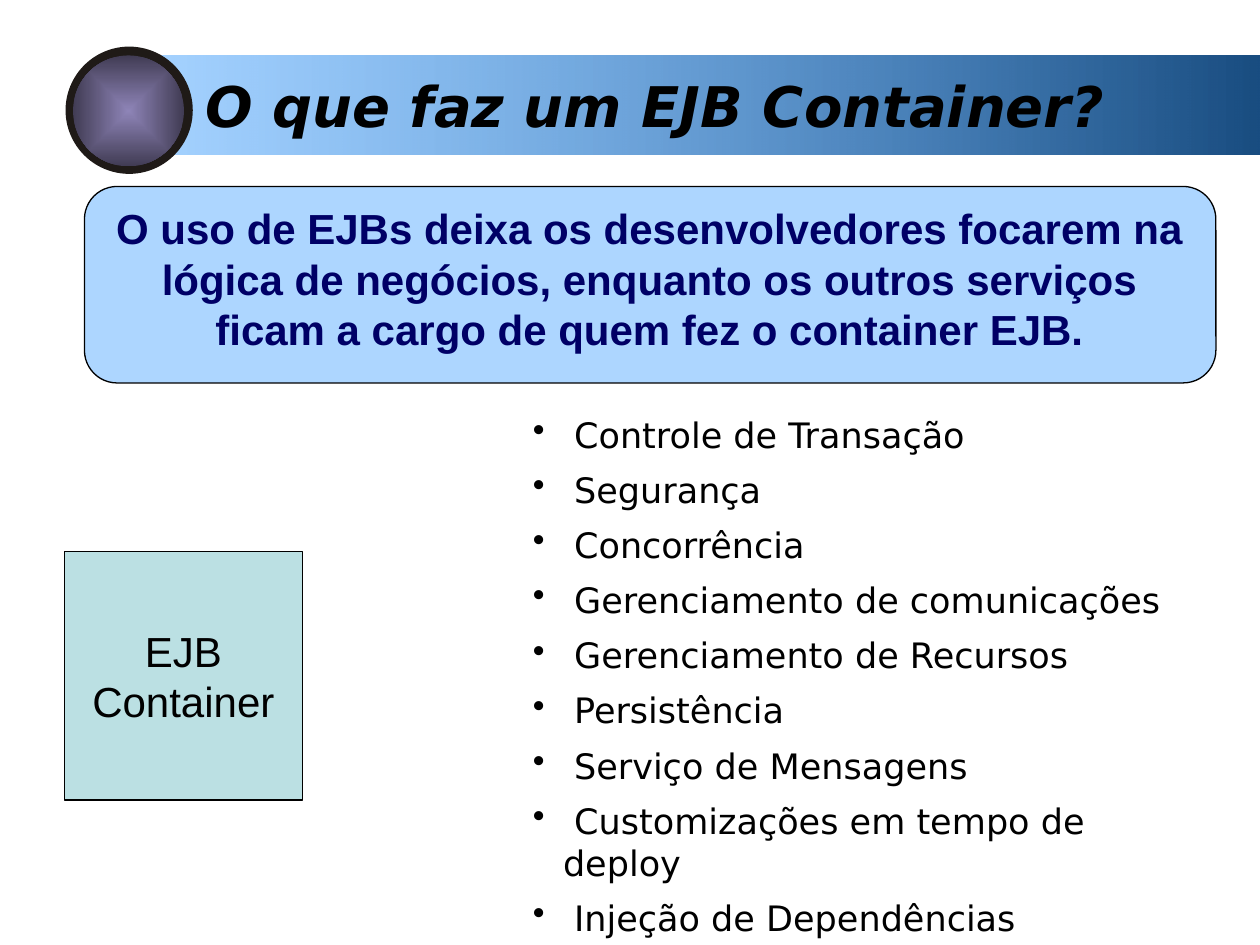
from pptx import Presentation
from pptx.dml.color import RGBColor
from pptx.enum.shapes import MSO_SHAPE
from pptx.enum.text import MSO_ANCHOR, MSO_AUTO_SIZE, PP_ALIGN
from pptx.oxml import parse_xml
from pptx.oxml.ns import nsdecls, qn
from pptx.util import Inches, Pt
from lxml import etree

RECT = MSO_SHAPE.RECTANGLE
ROUNDED = MSO_SHAPE.ROUNDED_RECTANGLE
OVAL = MSO_SHAPE.OVAL
MIDDLE = MSO_ANCHOR.MIDDLE
GROW = MSO_AUTO_SIZE.SHAPE_TO_FIT_TEXT
LEFT, CENTER = PP_ALIGN.LEFT, PP_ALIGN.CENTER

COLORS = {
    "black": "000000",
    "navy": "000066",
    "bar_dark": "194D81",
    "sky": "3399FF",
    "ring": "1F1A17",
    "violet": "8E84B7",
    "violet_dark": "413C54",
    "teal": "BBE0E3",
}
LINEAR = '<a:lin ang="10800000" scaled="0"/>'
FROM_CENTER = ('<a:path path="rect"><a:fillToRect l="50000" t="50000" '
               'r="50000" b="50000"/></a:path>')

SERVICES = [
    "Controle de Transação",
    "Segurança",
    "Concorrência",
    "Gerenciamento de comunicações",
    "Gerenciamento de Recursos",
    "Persistência",
    "Serviço de Mensagens",
    "Customizações em tempo de deploy",
    "Injeção de Dependências",
]


class SlideBuilder:
    title_font = "DejaVu Sans"
    body_font = "Arial"

    def __init__(self, slide):
        self.s = slide

    def rgb(self, name):
        return RGBColor.from_string(COLORS[name])

    def shape(self, kind, box, fill=None, alpha=100, line=None):
        sp = self.s.shapes.add_shape(kind, *map(Inches, box))
        sp.shadow.inherit = False
        if fill:
            sp.fill.solid()
            sp.fill.fore_color.rgb = self.rgb(fill)
            if alpha < 100:
                clr = sp._element.spPr.find(".//" + qn("a:srgbClr"))
                etree.SubElement(clr, qn("a:alpha"), val=str(alpha * 1000))
        if line:
            sp.line.color.rgb = self.rgb(line)
            sp.line.width = Pt(0.75)
        else:
            sp.line.fill.background()
        return sp

    def gradient(self, kind, box, start, end, direction, end_alpha=100):
        sp = self.shape(kind, box)
        geom = sp._element.spPr.find(qn("a:prstGeom"))
        geom.addnext(parse_xml(
            f'<a:gradFill {nsdecls("a")} rotWithShape="1"><a:gsLst>'
            f'<a:gs pos="0"><a:srgbClr val="{COLORS[start]}"/></a:gs>'
            f'<a:gs pos="100000"><a:srgbClr val="{COLORS[end]}">'
            f'<a:alpha val="{end_alpha * 1000}"/></a:srgbClr></a:gs>'
            f'</a:gsLst>{direction}</a:gradFill>'))
        return sp

    def style(self, p, font, size, color="black", align=LEFT, bold=False, italic=False):
        p.alignment = align
        p.font.name = font
        p.font.size = Pt(size)
        p.font.color.rgb = self.rgb(color)
        p.font.bold = bold
        p.font.italic = italic

    def text_frame(self, box):
        tf = self.s.shapes.add_textbox(*map(Inches, box)).text_frame
        tf.word_wrap = True
        tf.auto_size = GROW
        return tf

    def text(self, box, text, font, size, **style):
        p = self.text_frame(box).paragraphs[0]
        p.text = text
        self.style(p, font, size, **style)

    def label(self, sp, text, size):
        tf = sp.text_frame
        tf.word_wrap = False
        tf.vertical_anchor = MIDDLE
        p = tf.paragraphs[0]
        p.text = text
        self.style(p, self.body_font, size, align=CENTER)

    def bullets(self, box, items, size):
        tf = self.text_frame(box)
        for i, item in enumerate(items):
            p = tf.add_paragraph() if i else tf.paragraphs[0]
            p.text = " " + item
            self.style(p, self.title_font, size)
            p.space_before = Pt(7.5)
            pPr = p._p.get_or_add_pPr()
            pPr.set("marL", str(Inches(0.24)))
            pPr.set("indent", str(-Inches(0.24)))
            bullet = parse_xml(f'<a:buChar {nsdecls("a")} char="•"/>')
            pPr.find(qn("a:defRPr")).addprevious(bullet)


def main():
    prs = Presentation()
    prs.slide_width, prs.slide_height = Inches(10), Inches(7.5)
    s = SlideBuilder(prs.slides.add_slide(prs.slide_layouts[6]))

    s.gradient(RECT, (1.22, 0.44, 8.78, 0.79), "bar_dark", "sky", LINEAR, end_alpha=44)
    s.text((1.53, 0.52, 8.47, 0.64), "O que faz um EJB Container?",
           s.title_font, 32, bold=True, italic=True)
    s.shape(OVAL, (0.52, 0.37, 1.01, 1.01), "ring")
    s.gradient(OVAL, (0.58, 0.44, 0.88, 0.88), "violet", "violet_dark", FROM_CENTER)

    s.shape(ROUNDED, (0.67, 1.48, 8.98, 1.56), "sky", alpha=40, line="black")
    s.text((0.76, 1.56, 8.79, 1.3),
           "O uso de EJBs deixa os desenvolvedores focarem na lógica de negócios, "
           "enquanto os outros serviços ficam a cargo de quem fez o container EJB.",
           s.body_font, 24, color="navy", align=CENTER, bold=True)

    s.bullets((4.13, 3.23, 5.59, 3.94), SERVICES, 20)
    container = s.shape(RECT, (0.51, 4.38, 1.89, 1.97), "teal", line="black")
    s.label(container, "EJB\vContainer", 24)

    prs.save("out.pptx")


if __name__ == "__main__":
    main()
